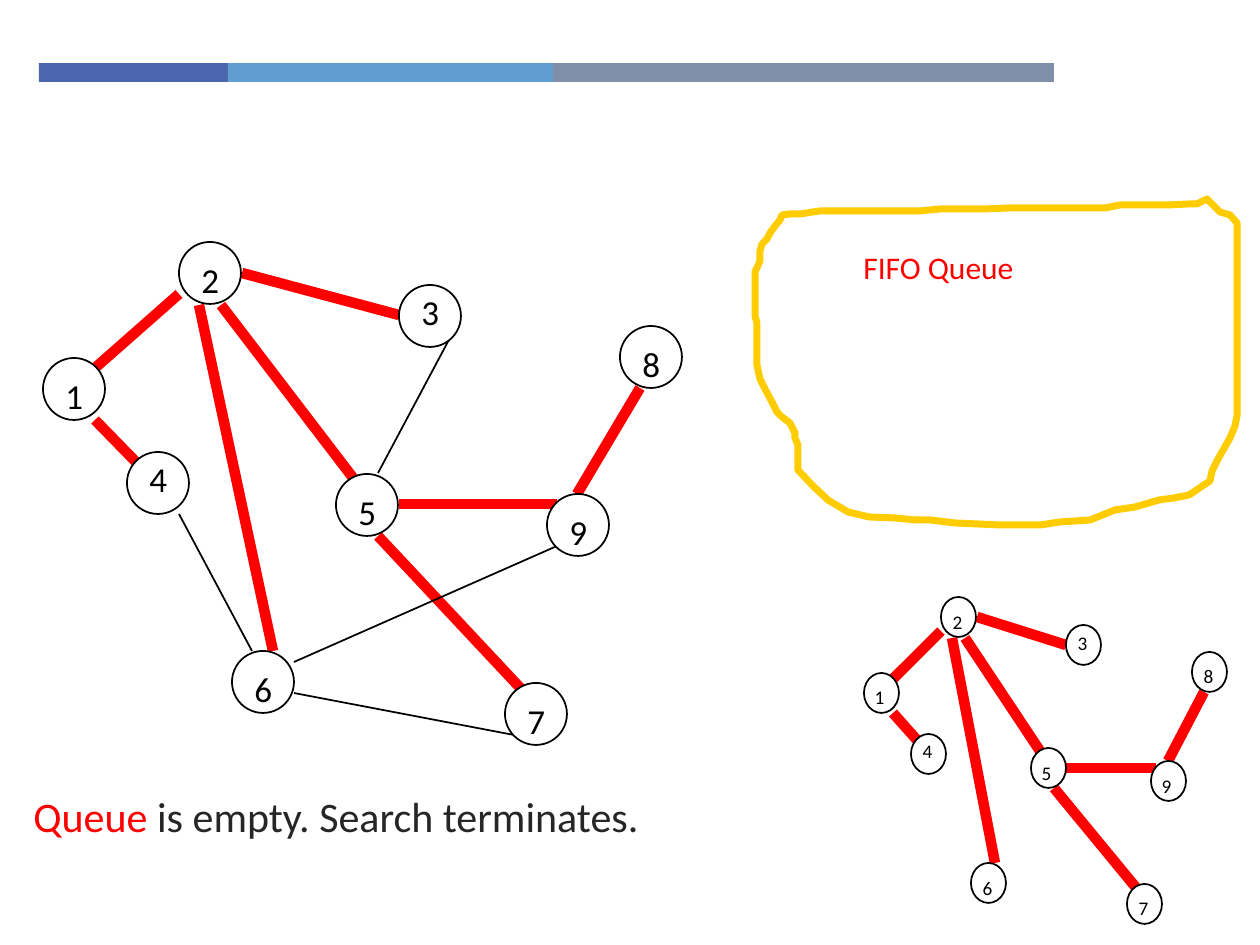
from dataclasses import dataclass

from lxml.etree import SubElement
from pptx import Presentation
from pptx.dml.color import RGBColor
from pptx.enum.shapes import MSO_CONNECTOR, MSO_SHAPE
from pptx.enum.text import MSO_AUTO_SIZE
from pptx.oxml.ns import qn
from pptx.util import Emu, Pt

SCALE = 914400 / 126  # EMU per px
FONT = "Calibri"
COLORS = {
    "indigo": "4A66AC", "sky": "629DD1", "slate": "7F8FA9", "red": "FF0000",
    "gold": "FFCC00", "black": "000000", "text": "262626", "white": "FFFFFF",
}
NODE_SIZE = 62


@dataclass
class Node:
    name: str
    x: int
    y: int
    label_dy: int = 10


@dataclass
class Edge:
    x1: int
    y1: int
    x2: int
    y2: int
    in_tree: bool = True


@dataclass
class View:
    """Where and how large the graph is drawn."""
    left: int
    top: int
    sx: float
    sy: float
    font_size: int

    def x(self, value: int) -> int:
        return round(self.left + value * self.sx)

    def y(self, value: int) -> int:
        return round(self.top + value * self.sy)


NODES = [
    Node("1", 43, 358), Node("2", 179, 242), Node("3", 399, 285, -1),
    Node("4", 127, 452, -1), Node("5", 336, 474), Node("6", 232, 651),
    Node("7", 505, 683), Node("8", 620, 326), Node("9", 547, 494),
]
EDGES = [
    Edge(179, 294, 95, 368), Edge(221, 305, 357, 483), Edge(95, 420, 136, 462),
    Edge(378, 536, 525, 693), Edge(640, 388, 577, 494), Edge(399, 504, 557, 504),
    Edge(242, 273, 399, 315), Edge(199, 305, 273, 651),
    Edge(179, 514, 252, 651, False), Edge(294, 693, 514, 735, False),
    Edge(451, 336, 378, 473, False), Edge(294, 662, 557, 546, False),
]
QUEUE_OUTLINE = [
    (1207, 199), (1197, 204), (1189, 204), (1169, 205), (1120, 205), (1105, 208),
    (1010, 208), (985, 209), (940, 209), (920, 211), (820, 211), (800, 214),
    (790, 214), (782, 215), (780, 220), (775, 226), (770, 233), (767, 239),
    (762, 244), (760, 251), (760, 261), (755, 272), (755, 316), (757, 323),
    (757, 365), (760, 379), (765, 389), (772, 402), (777, 412), (782, 417),
    (790, 423), (795, 433), (795, 438), (798, 445), (798, 470), (813, 486),
    (828, 500), (848, 512), (869, 517), (895, 518), (915, 520), (930, 520),
    (955, 523), (1000, 525), (1040, 525), (1060, 522), (1090, 520), (1115, 510),
    (1135, 507), (1159, 500), (1174, 498), (1189, 495), (1210, 481), (1212, 471),
    (1217, 461), (1222, 452), (1230, 438), (1235, 426), (1237, 416), (1237, 223),
    (1230, 215), (1220, 212),
]


def px(value: int) -> Emu:
    return Emu(round(value * SCALE))


def color(name: str) -> RGBColor:
    return RGBColor.from_string(COLORS[name])


def add_text(s, box: tuple, runs: list, size: int, grow: bool = True) -> None:
    tf = s.shapes.add_textbox(*map(px, box)).text_frame
    tf.word_wrap = True
    if grow:
        tf.auto_size = MSO_AUTO_SIZE.SHAPE_TO_FIT_TEXT
    p = tf.paragraphs[0]
    p.font.name, p.font.size = FONT, Pt(size)
    for text, name in runs:
        r = p.add_run()
        r.text = text
        r.font.color.rgb = color(name)


def add_shape(s, kind: MSO_SHAPE, box: tuple, fill: str, line: str = ""):
    sp = s.shapes.add_shape(kind, *map(px, box))
    sp.shadow.inherit = False
    sp.fill.solid()
    sp.fill.fore_color.rgb = color(fill)
    if line:
        sp.line.color.rgb = color(line)
        sp.line.width = Pt(1)
    else:
        sp.line.fill.background()


def draw_edge(s, view: View, edge: Edge) -> None:
    ends = view.x(edge.x1), view.y(edge.y1), view.x(edge.x2), view.y(edge.y2)
    line = s.shapes.add_connector(MSO_CONNECTOR.STRAIGHT, *map(px, ends))
    line.line.color.rgb = color("red" if edge.in_tree else "black")
    line.line.width = Pt(6 if edge.in_tree else 1)
    SubElement(line._element.spPr, qn("a:effectLst"))


def draw_node(s, view: View, node: Node) -> None:
    x, y = view.x(node.x), view.y(node.y)
    size = round(NODE_SIZE * view.sx), round(NODE_SIZE * view.sy)
    add_shape(s, MSO_SHAPE.OVAL, (x, y, *size), "white", "black")
    label = (view.x(node.x + 10), view.y(node.y + node.label_dy),
             round(32 * view.sx), round(54 * view.sy))
    add_text(s, label, [(node.name, "black")], view.font_size)


def draw_graph(s, view: View, edges: list[Edge]) -> None:
    for edge in edges:
        draw_edge(s, view, edge)
    for node in NODES:
        draw_node(s, view, node)


def main() -> None:
    prs = Presentation()
    prs.slide_width, prs.slide_height = px(1260), px(945)
    s = prs.slides.add_slide(prs.slide_layouts[6])

    # Header bar
    x = 39
    for width, fill in ((189, "indigo"), (325, "sky"), (501, "slate")):
        add_shape(s, MSO_SHAPE.RECTANGLE, (x, 63, width, 19), fill)
        x += width

    # Message and queue
    add_text(s, (21, 784, 1239, 98),
             [("Queue", "red"), (" is empty. Search terminates.", "text")], 24, grow=False)
    add_text(s, (851, 242, 388, 108), [("FIFO Queue", "red")], 18)
    builder = s.shapes.build_freeform(*QUEUE_OUTLINE[0], scale=SCALE)
    builder.add_line_segments(QUEUE_OUTLINE[1:], close=True)
    queue = builder.convert_to_shape()
    queue.shadow.inherit = False
    queue.fill.background()
    queue.line.color.rgb = color("gold")
    queue.line.width = Pt(4)

    # Full graph, then its search tree at a smaller scale
    draw_graph(s, View(0, 0, 1, 1, 20), EDGES)
    draw_graph(s, View(839, 440, 0.57, 0.65, 11), [e for e in EDGES if e.in_tree])

    prs.save("out.pptx")


if __name__ == "__main__":
    main()
